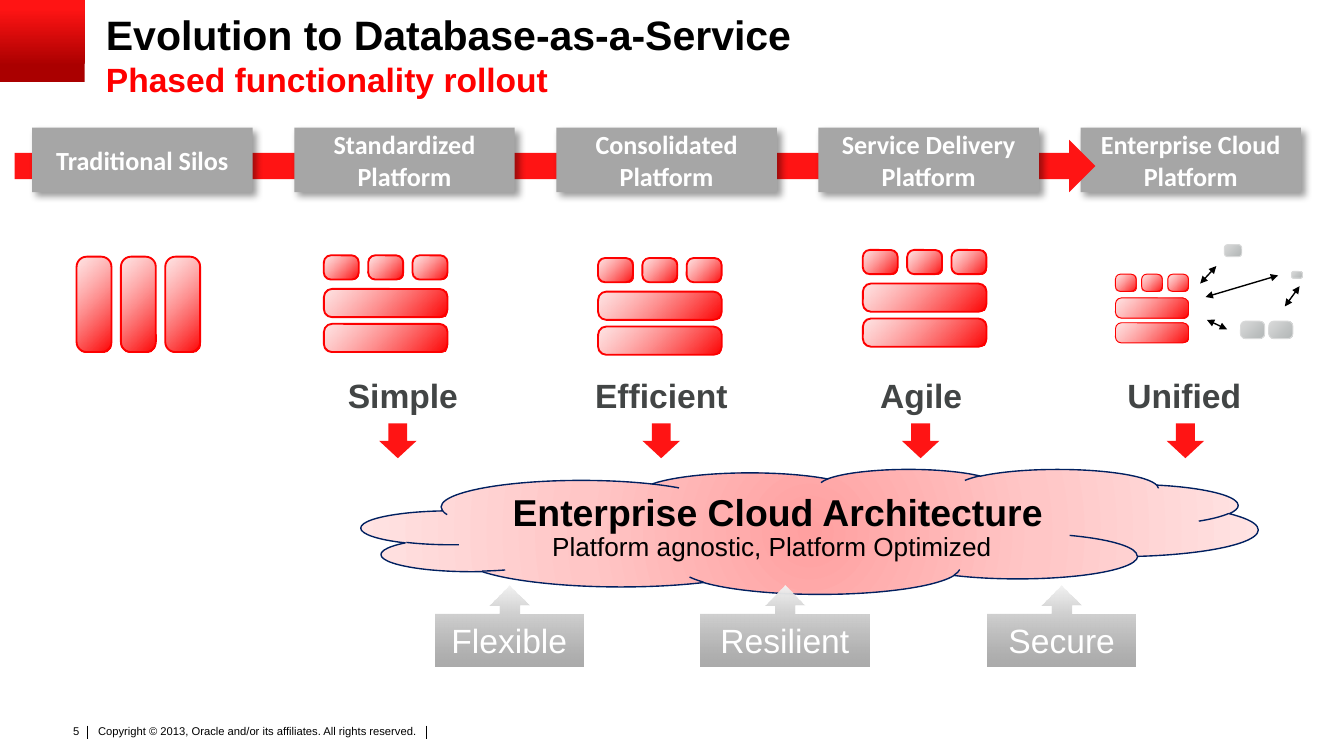
"""Build the Database-as-a-Service evolution slide."""
from lxml import etree
from pptx import Presentation
from pptx.dml.color import RGBColor
from pptx.enum import shapes, text
from pptx.oxml import ns
from pptx.util import Inches, Pt

COLORS = {
    "black": "000000", "white": "FFFFFF", "red": "FF1414", "subtitle": "FF0000",
    "header": "A6A6A6", "label": "424545", "navy": "002060",
    "tile": "FD0000", "node": "D9DADA",
}
GRADIENTS = {
    "corner": ([(20, "AA0000", 100), (90, "FF1414", 100)], 270),
    "tile": ([(0, "FED5D5", 60), (100, "FD0000", 100)], 45),
    "node": ([(0, "D9DADA", 100), (100, "B2B6B6", 100)], 45),
    "callout": ([(0, "808080", 66), (100, "F2F2F2", 100)], 270),
    "cloud": ([(0, "FFA0A0", 100), (50, "FFC6C6", 100), (100, "FFE3E3", 100)], None),
}
SHAPE = shapes.MSO_SHAPE
LEFT, CENTER, RIGHT = text.PP_ALIGN.LEFT, text.PP_ALIGN.CENTER, text.PP_ALIGN.RIGHT


def add_shape(kind, box, color=None, gradient=None, line=None, width=1):
    shape = slide.shapes.add_shape(kind, *map(Inches, box))
    shape.shadow.inherit = False
    if color:
        shape.fill.solid()
        shape.fill.fore_color.rgb = RGBColor.from_string(COLORS[color])
    else:
        stops, angle = GRADIENTS[gradient]
        fill = etree.Element(ns.qn("a:gradFill"), rotWithShape="1")
        stop_list = etree.SubElement(fill, ns.qn("a:gsLst"))
        for position, value, alpha in stops:
            stop = etree.SubElement(stop_list, ns.qn("a:gs"), pos=str(position * 1000))
            tint = etree.SubElement(stop, ns.qn("a:srgbClr"), val=value)
            if alpha < 100:
                etree.SubElement(tint, ns.qn("a:alpha"), val=str(alpha * 1000))
        if angle is None:
            circle = etree.SubElement(fill, ns.qn("a:path"), path="circle")
            etree.SubElement(circle, ns.qn("a:fillToRect"), l="50000", t="50000", r="50000", b="50000")
        else:
            etree.SubElement(fill, ns.qn("a:lin"), ang=str(angle * 60000), scaled="0")
        shape._element.spPr.insert(2, fill)
    if line:
        shape.line.color.rgb = RGBColor.from_string(COLORS[line])
        shape.line.width = Pt(width)
    else:
        shape.line.fill.background()
    if kind == SHAPE.ROUNDED_RECTANGLE:
        shape.adjustments[0] = 0.29
    return shape


def add_text(shape, lines, align=LEFT, font="Arial", wrap=True):
    frame = shape.text_frame
    frame.word_wrap = wrap
    if not wrap:
        frame.auto_size = text.MSO_AUTO_SIZE.SHAPE_TO_FIT_TEXT
    for index, (words, size, color, bold) in enumerate(lines):
        paragraph = frame.add_paragraph() if index else frame.paragraphs[0]
        paragraph.text = words
        paragraph.alignment = align
        paragraph.font.name = font
        paragraph.font.size = Pt(size)
        paragraph.font.bold = bold
        paragraph.font.color.rgb = RGBColor.from_string(COLORS[color])
    return frame


presentation = Presentation()
presentation.slide_width = Inches(10)
presentation.slide_height = Inches(10) * 9 // 16
slide = presentation.slides.add_slide(presentation.slide_layouts[6])

footer = slide.shapes.add_textbox(Inches(0.69), Inches(5.37), Inches(2.74), Inches(0.24))
copyright_line = "Copyright © 2013, Oracle and/or its affiliates. All rights reserved."
frame = add_text(footer, [(copyright_line, 6, "black", False)])
frame.margin_left = frame.margin_right = Inches(0.04)
frame.margin_top = frame.margin_bottom = Inches(0.02)
number = slide.shapes.add_textbox(Inches(0.39), Inches(5.34), Inches(0.3), Inches(0.2))
add_text(number, [("5", 6, "black", False)], RIGHT, wrap=False)

add_shape(SHAPE.RECTANGLE, (0, 0, 0.63, 0.61), gradient="corner")
title = slide.shapes.add_textbox(Inches(0.69), Inches(0.02), Inches(9), Inches(0.75))
add_text(title, [("Evolution to Database-as-a-Service", 22, "black", True),
                 ("Phased functionality rollout", 18, "subtitle", True)])

phases = ["Traditional Silos", "Standardized Platform", "Consolidated Platform",
          "Service Delivery Platform", "Enterprise Cloud Platform"]
for index in (4, 0, 1, 2, 3):
    header = add_shape(SHAPE.RECTANGLE, (0.24 + 1.95 * index, 0.95, 1.64, 0.48), "header")
    effects = header._element.spPr.find(ns.qn("a:effectLst"))
    shadow = etree.SubElement(effects, ns.qn("a:outerShdw"), blurRad=str(Pt(4)), dist=str(Pt(3)),
                              dir=str(45 * 60000), algn="tl", rotWithShape="0")
    tint = etree.SubElement(shadow, ns.qn("a:srgbClr"), val=COLORS["black"])
    etree.SubElement(tint, ns.qn("a:alpha"), val="40000")
    add_text(header, [(phases[index], 14, "white", True)], CENTER, "Calibri")
    if index == 4:
        add_shape(SHAPE.RIGHT_ARROW, (0.11, 1.04, 8.04, 0.39), "red")

cloud = add_shape(SHAPE.CLOUD, (2.69, 3.49, 6.67, 0.93), gradient="cloud", line="navy", width=0.75)
frame = add_text(cloud, [("Enterprise Cloud Architecture", 20, "black", True)], CENTER)
frame.vertical_anchor = text.MSO_ANCHOR.TOP
paragraph = frame.paragraphs[0]
paragraph.line_spacing = 0.9
properties = paragraph._p.get_or_add_pPr()
properties.set("marL", str(Inches(0.13)))
properties.set("indent", str(Inches(-0.13)))
tagline = slide.shapes.add_textbox(Inches(4.01), Inches(3.9), Inches(3.5), Inches(0.34))
add_text(tagline, [("Platform agnostic, Platform Optimized", 14, "black", False)], wrap=False)

benefits = [("Simple", 2.49, 1.03, 2.82), ("Efficient", 4.33, 1.2, 4.78),
            ("Agile", 6.45, 0.82, 6.71), ("Unified", 8.29, 1.06, 8.68)]
for words, left, width, arrow_left in benefits:
    label = slide.shapes.add_textbox(Inches(left), Inches(2.74), Inches(width), Inches(0.4))
    add_text(label, [(words, 18, "label", True)], wrap=False)
    add_shape(SHAPE.DOWN_ARROW, (arrow_left, 3.15, 0.28, 0.26), "red")

for column in range(3):
    add_shape(SHAPE.ROUNDED_RECTANGLE, (0.57 + 0.33 * column, 1.91, 0.26, 0.71),
              gradient="tile", line="tile")

tiles = [(0, 0, 0.26, 0.18), (0.33, 0, 0.26, 0.18), (0.66, 0, 0.26, 0.18),
         (0, 0.51, 0.92, 0.21), (0, 0.25, 0.92, 0.21)]
stacks = [(2.41, 1.9, 1, 1, 1), (4.45, 1.92, 1, 1, 1),
          (6.42, 1.86, 1, 1, 1), (8.3, 2.04, 0.59, 0.71, 0.5)]
for left, top, scale_x, scale_y, line_width in stacks:
    for x, y, width, height in tiles:
        box = (left + x * scale_x, top + y * scale_y, width * scale_x, height * scale_y)
        add_shape(SHAPE.ROUNDED_RECTANGLE, box, gradient="tile", line="tile", width=line_width)

nodes = [(9.23, 2.39, 0.18, 0.13), (9.44, 2.39, 0.18, 0.13),
         (9.11, 1.82, 0.13, 0.09), (9.61, 2.02, 0.08, 0.05)]
for box in nodes:
    add_shape(SHAPE.ROUNDED_RECTANGLE, box, gradient="node", line="node", width=0.5)

footer_bars = [(0.65, 5.4, 0.65, 5.5), (3.17, 5.4, 3.17, 5.5)]
node_links = [(9.05, 1.98, 8.93, 2.11), (9.51, 2.05, 8.97, 2.21),
              (9.13, 2.45, 8.98, 2.38), (9.67, 2.13, 9.56, 2.28)]
for ends in footer_bars + node_links:
    connector = slide.shapes.add_connector(shapes.MSO_CONNECTOR.STRAIGHT, *map(Inches, ends))
    connector.line.color.rgb = RGBColor.from_string(COLORS["black"])
    connector.line.width = Pt(0.75 if ends in node_links else 0.5)
    if ends in node_links:
        outline = connector._element.spPr.find(ns.qn("a:ln"))
        for end in ("a:headEnd", "a:tailEnd"):
            etree.SubElement(outline, ns.qn(end), type="triangle", w="sm", len="sm")
    etree.SubElement(connector._element.spPr, ns.qn("a:effectLst"))

for words, left, width in [("Flexible", 3.24, 1.1), ("Secure", 7.35, 1.1), ("Resilient", 5.21, 1.26)]:
    callout = add_shape(SHAPE.UP_ARROW_CALLOUT, (left, 4.36, width, 0.6), gradient="callout")
    add_text(callout, [(words, 18, "white", False)], CENTER)

presentation.save("out.pptx")
